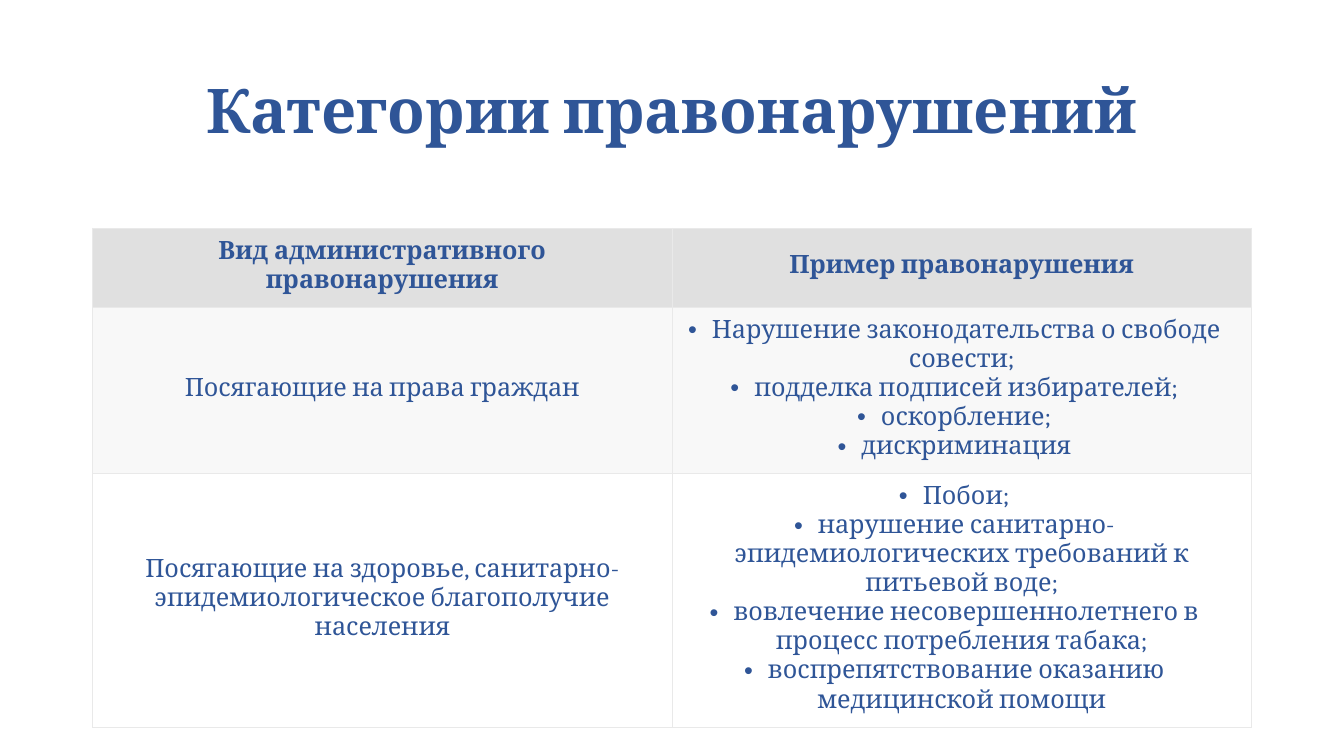
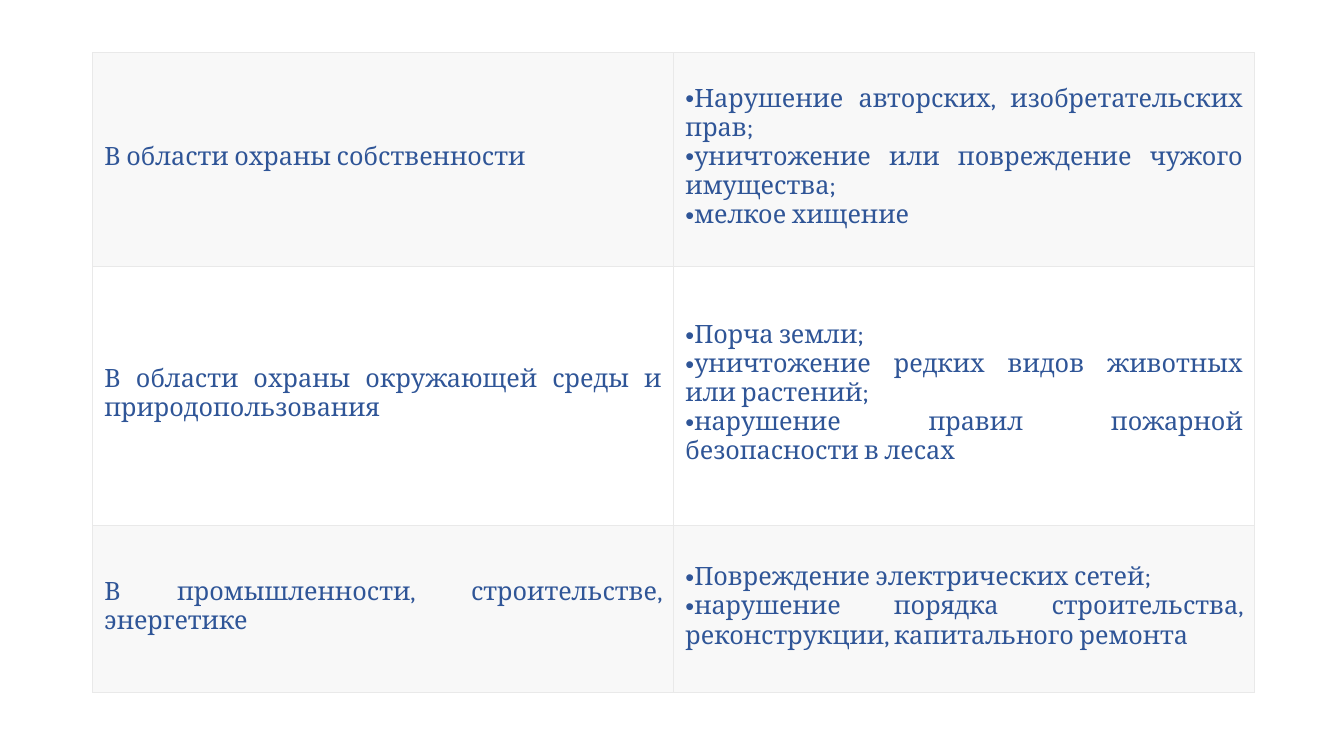
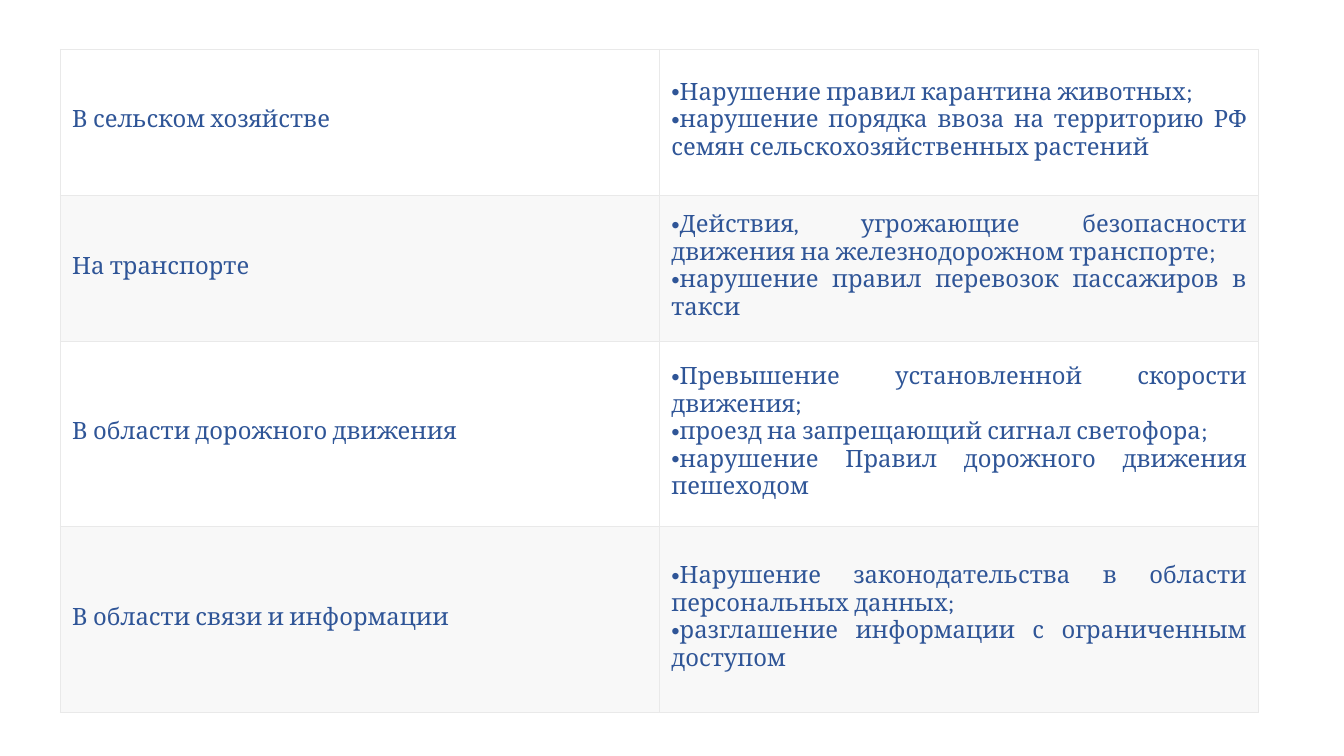
"""Build three slides that list categories of administrative offences with examples."""
import pptx
import pptx.util
import pptx.dml.color
import pptx.enum.text
import pptx.oxml.ns
import lxml.etree

Cm, Pt = pptx.util.Cm, pptx.util.Pt
PP_ALIGN = pptx.enum.text.PP_ALIGN
MIDDLE = pptx.enum.text.MSO_ANCHOR.MIDDLE
COLOURS = {"text": "2F5597", "border": "E9E9E9", "header": "E0E0E0", "grey": "F8F8F8", "white": "FFFFFF"}
FONT = "Cambria"


def add_text(paragraph, text, size, bold, align):
    paragraph.alignment = align
    run = paragraph.add_run()
    run.text = text
    run.font.name = FONT
    run.font.size = Pt(size)
    run.font.bold = bold
    run.font.color.rgb = pptx.dml.color.RGBColor.from_string(COLOURS["text"])


def add_child(parent, tag, **attributes):
    return lxml.etree.SubElement(parent, pptx.oxml.ns.qn(tag), attributes)


pages = [
    {
        "title": "Категории правонарушений",
        "left": 2.33, "top": 5.75, "width": 29.21, "size": 18, "align": PP_ALIGN.CENTER,
        "rows": [
            (1.99, "header", "Вид административного правонарушения", ["Пример правонарушения"]),
            (4.18, "grey", "Посягающие на права граждан", [
                "Нарушение законодательства о свободе совести;",
                "подделка подписей избирателей;",
                "оскорбление;",
                "дискриминация"]),
            (6.4, "white", "Посягающие на здоровье, санитарно-эпидемиологическое благополучие населения", [
                "Побои;",
                "нарушение санитарно-эпидемиологических требований к питьевой воде;",
                "вовлечение несовершеннолетнего в процесс потребления табака;",
                "воспрепятствование оказанию медицинской помощи"]),
        ],
    },
    {
        "left": 2.33, "top": 1.32, "width": 29.29, "size": 18, "align": PP_ALIGN.JUSTIFY,
        "rows": [
            (5.38, "grey", "В области охраны собственности", [
                "Нарушение авторских, изобретательских прав;",
                "уничтожение или повреждение чужого имущества;",
                "мелкое хищение"]),
            (6.53, "white", "В области охраны окружающей среды и природопользования", [
                "Порча земли;",
                "уничтожение редких видов животных или растений;",
                "нарушение правил пожарной безопасности в лесах"]),
            (4.22, "grey", "В промышленности, строительстве, энергетике", [
                "Повреждение электрических сетей;",
                "нарушение порядка строительства, реконструкции, капитального ремонта"]),
        ],
    },
    {
        "left": 1.52, "top": 1.24, "width": 30.2, "size": 17, "align": PP_ALIGN.JUSTIFY,
        "rows": [
            (3.68, "white", "В сельском хозяйстве", [
                "Нарушение правил карантина животных;",
                "нарушение порядка ввоза на территорию РФ семян сельскохозяйственных растений"]),
            (3.68, "grey", "На транспорте", [
                "Действия, угрожающие безопасности движения на железнодорожном транспорте;",
                "нарушение правил перевозок пассажиров в такси"]),
            (4.67, "white", "В области дорожного движения", [
                "Превышение установленной скорости движения;",
                "проезд на запрещающий сигнал светофора;",
                "нарушение Правил дорожного движения пешеходом"]),
            (4.67, "grey", "В области связи и информации", [
                "Нарушение законодательства в области персональных данных;",
                "разглашение информации с ограниченным доступом"]),
        ],
    },
]

deck = pptx.Presentation()
deck.slide_width, deck.slide_height = Cm(33.87), Cm(19.05)
title_only, blank = deck.slide_layouts[5], deck.slide_layouts[6]

for page in pages:
    slide = deck.slides.add_slide(title_only if "title" in page else blank)
    if "title" in page:
        title = slide.shapes.title
        title.left, title.top, title.width, title.height = Cm(2.33), Cm(1.01), Cm(29.21), Cm(3.68)
        title.text_frame.vertical_anchor = MIDDLE
        heading = title.text_frame.paragraphs[0]
        heading.line_spacing = 0.9
        add_text(heading, page["title"], 44, True, PP_ALIGN.CENTER)

    rows = page["rows"]
    total_height = sum(row[0] for row in rows)
    offences = slide.shapes.add_table(
        len(rows), 2, Cm(page["left"]), Cm(page["top"]), Cm(page["width"]), Cm(total_height)).table
    offences.first_row = offences.horz_banding = False
    for column in offences.columns:
        column.width = Cm(page["width"] / 2)

    for row_index, (height, fill, category, examples) in enumerate(rows):
        offences.rows[row_index].height = Cm(height)
        is_header = fill == "header"
        for column_index, lines in enumerate([[category], examples]):
            cell = offences.cell(row_index, column_index)
            cell.vertical_anchor = MIDDLE
            cell.margin_left = cell.margin_right = cell.margin_bottom = Cm(0.3)
            cell.margin_top = Cm(0.2)

            for line_index, line in enumerate(lines):
                frame = cell.text_frame
                paragraph = frame.add_paragraph() if line_index else frame.paragraphs[0]
                add_text(paragraph, line, page["size"], is_header, page["align"])
                if column_index == 1 and not is_header:
                    properties = paragraph._p.get_or_add_pPr()
                    add_child(properties, "a:buFont", typeface="Arial")
                    add_child(properties, "a:buChar", char="•")

            cell_properties = cell._tc.get_or_add_tcPr()
            for side in ("a:lnL", "a:lnR", "a:lnT", "a:lnB"):
                border = add_child(cell_properties, side, w=str(Pt(0.6)))
                add_child(add_child(border, "a:solidFill"), "a:srgbClr", val=COLOURS["border"])
            cell.fill.solid()
            cell.fill.fore_color.rgb = pptx.dml.color.RGBColor.from_string(COLOURS[fill])

deck.save("out.pptx")
